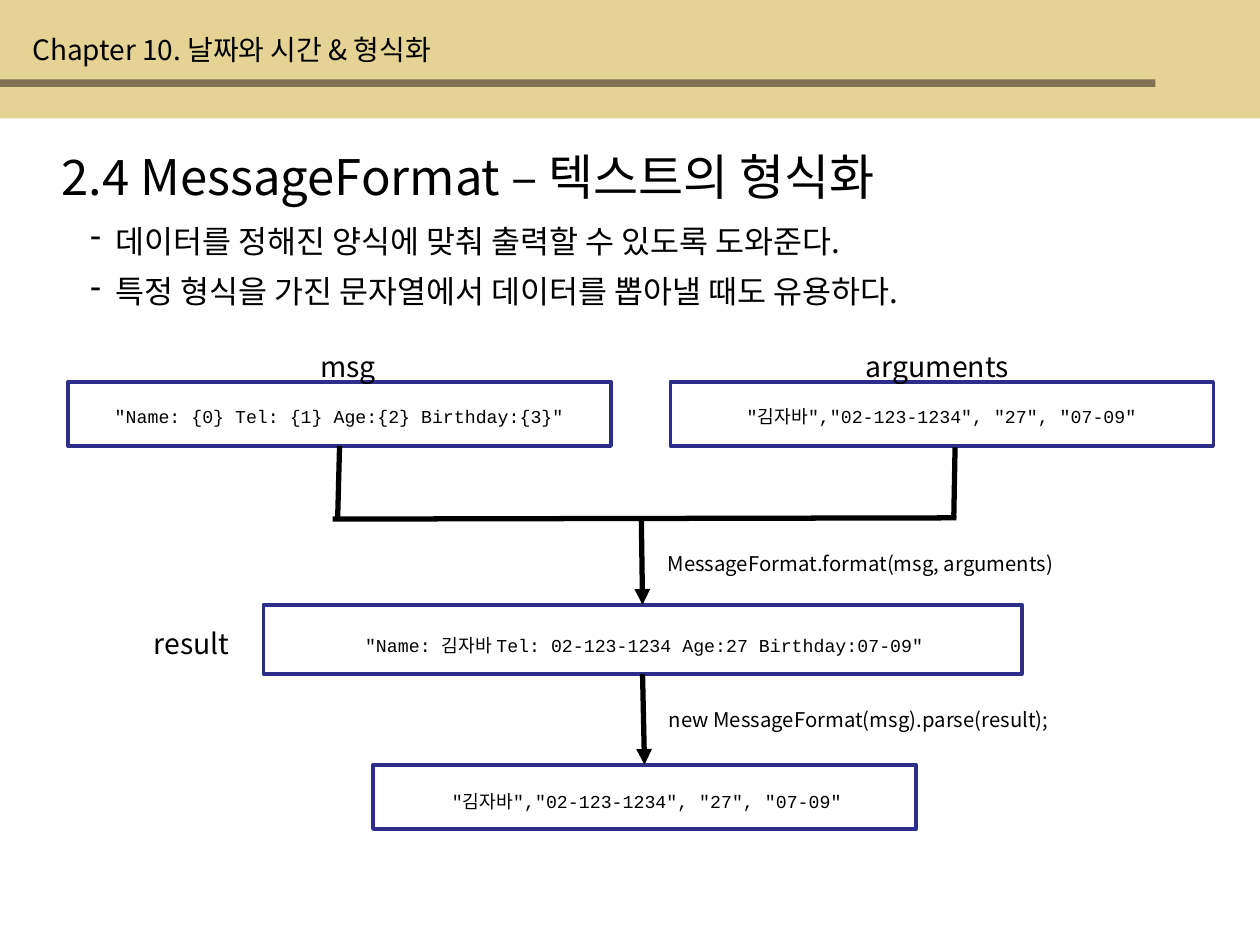
import pptx
import pptx.dml.color
import pptx.enum.shapes
import pptx.enum.text
import pptx.oxml
import pptx.oxml.ns
import pptx.util
from pptx.util import Inches

COLORS = {"band": "E4D394", "rule": "817051", "border": "2D2D8A",
          "paper": "FFFFFF", "ink": "000000"}
SANS, MONO = "Noto Sans CJK KR", "Courier New"
LEFT, CENTER = pptx.enum.text.PP_ALIGN.LEFT, pptx.enum.text.PP_ALIGN.CENTER
RECTANGLE = pptx.enum.shapes.MSO_SHAPE.RECTANGLE
STRAIGHT = pptx.enum.shapes.MSO_CONNECTOR.STRAIGHT
qn = pptx.oxml.ns.qn


def rgb(name):
    return pptx.dml.color.RGBColor.from_string(COLORS[name])


def write(shape, text, size, font=SANS, align=LEFT, raised=False):
    """Fill a text shape with one run; raised text is superscript, centred vertically."""
    frame = shape.text_frame
    frame.word_wrap = True
    frame.auto_size = pptx.enum.text.MSO_AUTO_SIZE.SHAPE_TO_FIT_TEXT
    anchors = pptx.enum.text.MSO_ANCHOR
    frame.vertical_anchor = anchors.MIDDLE if raised else anchors.TOP
    paragraph = frame.paragraphs[0]
    paragraph.alignment = align
    paragraph.space_before = pptx.util.Pt(0)
    run = paragraph.add_run()
    run.text = text
    run.font.size = pptx.util.Pt(size)
    run.font.name = font
    run.font.color.rgb = rgb("ink")
    properties = run.font._element
    properties.append(pptx.oxml.parse_xml(
        f'<a:ea xmlns:a="{pptx.oxml.ns.nsuri("a")}" typeface="{SANS}"/>'))
    if raised:
        properties.set("baseline", "30000")
    return paragraph


presentation = pptx.Presentation()
presentation.slide_width, presentation.slide_height = Inches(10), Inches(7.5)
slide = presentation.slides.add_slide(presentation.slide_layouts[5])
shapes = slide.shapes

# Chapter band with its rule
for top, width, height, color in [(0, 10, 0.94, "band"), (0.63, 9.17, 0.06, "rule")]:
    band = shapes.add_shape(RECTANGLE, 0, Inches(top), Inches(width), Inches(height))
    band.shadow.inherit = False
    band.fill.solid()
    band.fill.fore_color.rgb = rgb(color)
    band.line.fill.background()
chapter = shapes.add_textbox(Inches(0.16), Inches(0.21), Inches(6.14), Inches(0.37))
write(chapter, "Chapter 10. 날짜와 시간 & 형식화", 16)

# Section title
title = shapes.title
title.left, title.top = Inches(0.39), Inches(1.11)
title.width, title.height = Inches(9.37), Inches(0.57)
write(title, "2.4 MessageFormat – 텍스트의 형식화", 28)

# Dashed points
points = ["데이터를 정해진 양식에 맞춰 출력할 수 있도록 도와준다.",
          "특정 형식을 가진 문자열에서 데이터를 뽑아낼 때도 유용하다."]
for row, point in enumerate(points):
    point_box = shapes.add_textbox(Inches(0.51), Inches(1.71 + 0.4 * row),
                                   Inches(9.41), Inches(0.4))
    paragraph = write(point_box, point, 18)
    settings = paragraph._p.get_or_add_pPr()
    settings.set("marL", str(Inches(0.31)))
    settings.set("indent", str(Inches(-0.2)))
    dash = pptx.oxml.parse_xml(
        f'<a:buChar xmlns:a="{pptx.oxml.ns.nsuri("a")}" char="-"/>')
    settings.append(dash)

# Data boxes: frame (left, top, width, height), value (left, top, width), text
person = '"김자바","02-123-1234", "27", "07-09"'
data = {
    "msg": ((0.54, 3.03, 4.31, 0.51), (0.48, 3.14, 4.43),
            '"Name: {0} Tel: {1} Age:{2} Birthday:{3}"'),
    "arguments": ((5.32, 3.03, 4.31, 0.51), (5.26, 3.14, 4.43), person),
    "result": ((2.09, 4.8, 6.02, 0.55), (1.96, 4.95, 6.31),
               '"Name: 김자바 Tel: 02-123-1234 Age:27 Birthday:07-09"'),
    "parsed": ((2.96, 6.07, 4.31, 0.51), (2.92, 6.19, 4.43), person),
}
frames = {}
for name, (frame_place, (left, top, width), text) in data.items():
    frame = shapes.add_shape(RECTANGLE, *map(Inches, frame_place))
    frame.shadow.inherit = False
    frame.fill.solid()
    frame.fill.fore_color.rgb = rgb("paper")
    frame.line.color.rgb = rgb("border")
    frame.line.width = pptx.util.Pt(2)
    frames[name] = frame
    value = shapes.add_textbox(Inches(left), Inches(top), Inches(width), Inches(0.4))
    write(value, text, 18, MONO, CENTER, raised=True)

# Box names and method calls
labels = [
    ("msg", 2.3, 2.67, 0.92, 0.57, 28, CENTER),
    ("arguments", 6.16, 2.67, 2.56, 0.57, 28, CENTER),
    ("result", 0.69, 4.87, 1.66, 0.57, 28, CENTER),
    ("MessageFormat.format(msg, arguments)", 5.2, 4.29, 4.39, 0.44, 20, LEFT),
    ("new MessageFormat(msg).parse(result);", 5.21, 5.53, 4.39, 0.44, 20, LEFT),
]
for text, left, top, width, height, size, align in labels:
    label = shapes.add_textbox(Inches(left), Inches(top), Inches(width), Inches(height))
    write(label, text, size, align=align, raised=True)

# Flow lines: ends, box joined at the start, box joined at the end, arrowhead
flows = [
    ((2.69, 3.55, 2.68, 4.11), "msg", None, False),
    ((7.58, 3.55, 7.57, 4.11), None, None, False),
    ((7.59, 4.11, 2.64, 4.12), None, None, False),
    ((5.09, 4.11, 5.1, 4.8), None, "result", True),
    ((5.1, 5.35, 5.11, 6.03), "result", "parsed", True),
]
for ends, source, target, arrow in flows:
    flow = shapes.add_connector(STRAIGHT, *map(Inches, ends))
    if source:
        flow.begin_connect(frames[source], 2)
    if target:
        flow.end_connect(frames[target], 0)
    flow.line.color.rgb = rgb("ink")
    flow.line.width = pptx.util.Pt(3)
    if arrow:
        line = flow.line._get_or_add_ln()
        line.append(line.makeelement(qn("a:tailEnd"), {"type": "triangle"}))
    outline = flow._element.spPr
    outline.append(outline.makeelement(qn("a:effectLst"), {}))

presentation.save("out.pptx")
